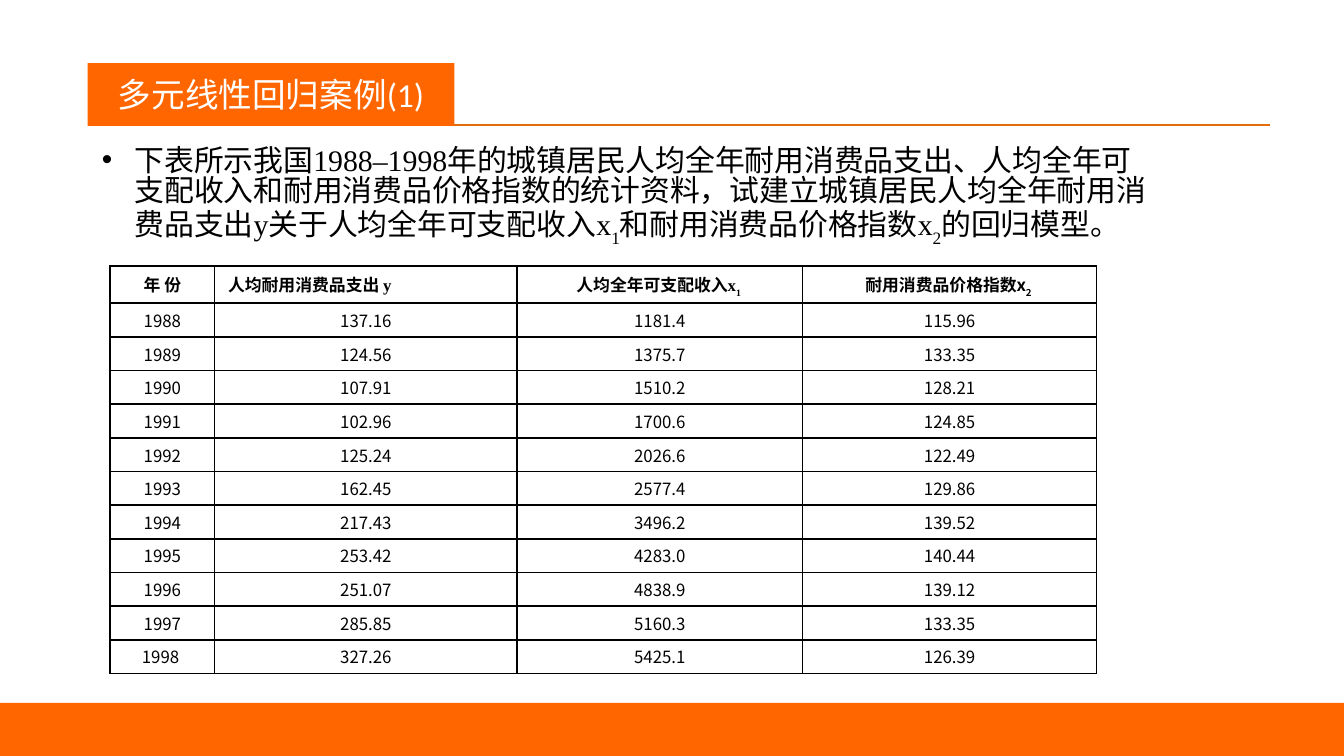
import pptx
import pptx.dml.color
import pptx.enum.shapes
import pptx.enum.text
import pptx.oxml
import pptx.oxml.ns
import pptx.util
import lxml.etree

Pt = pptx.util.Pt
qn = pptx.oxml.ns.qn
ALIGN = pptx.enum.text.PP_ALIGN
MIDDLE = pptx.enum.text.MSO_ANCHOR.MIDDLE

COLORS = {"orange": "FF6600", "rule": "E46C0A", "ink": "000000", "paper": "FFFFFF"}
CJK, SERIF, SANS = "Noto Sans CJK SC", "Times New Roman", "Calibri"

HEADINGS = [
    (["年 份"], CJK, ALIGN.CENTER),
    (["人均耐用消费品支出 y"], SERIF, ALIGN.LEFT),
    (["人均全年可支配收入x", "1 "], SERIF, ALIGN.CENTER),
    (["耐用消费品价格指数x", "2 "], CJK, ALIGN.CENTER),
]
RECORDS = [
    ("1988", "137.16", "1181.4", "115.96"),
    ("1989", "124.56", "1375.7", "133.35"),
    ("1990", "107.91", "1510.2", "128.21"),
    ("1991", "102.96", "1700.6", "124.85"),
    ("1992", "125.24", "2026.6", "122.49"),
    ("1993", "162.45", "2577.4", "129.86"),
    ("1994", "217.43", "3496.2", "139.52"),
    ("1995", "253.42", "4283.0", "140.44"),
    ("1996", "251.07", "4838.9", "139.12"),
    ("1997", "285.85", "5160.3", "133.35"),
    ("1998 ", "327.26", "5425.1", "126.39"),
]
QUESTION = [
    "下表所示我国1988–1998年的城镇居民人均全年耐用消费品支出、人均全年可支配收入和"
    "耐用消费品价格指数的统计资料，试建立城镇居民人均全年耐用消费品支出y关于人均全年可支配收入x",
    "1", "和耐用消费品价格指数x", "2", "的回归模型。",
]


def rgb(name):
    return pptx.dml.color.RGBColor.from_string(COLORS[name])


def write(paragraph, pieces, size, font, color="ink", bold=False, align=ALIGN.LEFT):
    paragraph.alignment = align
    for index, piece in enumerate(pieces):
        run = paragraph.add_run()
        run.text = piece
        run.font.size = Pt(size)
        run.font.name = font
        run.font.bold = bold
        run.font.color.rgb = rgb(color)
        east_asian = lxml.etree.SubElement(run.font._element, qn("a:ea"))
        east_asian.set("typeface", CJK)
        if index % 2:
            run.font._element.set("baseline", "-30000")


def add_block(slide, left, top, width, height):
    block = slide.shapes.add_shape(
        pptx.enum.shapes.MSO_SHAPE.RECTANGLE, Pt(left), Pt(top), Pt(width), Pt(height))
    block.shadow.inherit = False
    block.fill.solid()
    block.fill.fore_color.rgb = rgb("orange")
    block.line.fill.background()
    return block


def add_heading(slide, left, top, width, height):
    rule_y = Pt(top + height - 0.5)
    rule = slide.shapes.add_connector(
        pptx.enum.shapes.MSO_CONNECTOR.STRAIGHT, Pt(left + 12), rule_y, Pt(left + width), rule_y)
    rule.line.color.rgb = rgb("rule")
    rule.line.width = Pt(0.75)
    lxml.etree.SubElement(rule._element.spPr, qn("a:effectLst"))
    banner = add_block(slide, left, top, 196.5, height)
    banner.text_frame.vertical_anchor = MIDDLE
    write(banner.text_frame.paragraphs[0], ["多元线性回归案例(1)"], 18, SANS, "paper",
          align=ALIGN.CENTER)


def add_question(slide, left, top, width, height):
    frame = slide.shapes.add_textbox(Pt(left), Pt(top), Pt(width), Pt(height)).text_frame
    frame.word_wrap = True
    frame.vertical_anchor = MIDDLE
    paragraph = frame.paragraphs[0]
    paragraph.line_spacing = 0.84
    write(paragraph, QUESTION, 16, SERIF)
    properties = paragraph._p.get_or_add_pPr()
    properties.set("marL", str(Pt(17.5)))
    properties.set("indent", str(-Pt(17.5)))
    lxml.etree.SubElement(properties, qn("a:buFont")).set("typeface", "Arial")
    lxml.etree.SubElement(properties, qn("a:buChar")).set("char", "•")


def add_borders(cell):
    properties = cell._tc.get_or_add_tcPr()
    for position, side in enumerate(("lnL", "lnR", "lnT", "lnB")):
        properties.insert(position, pptx.oxml.parse_xml(
            f'<a:{side} {pptx.oxml.ns.nsdecls("a")} w="{Pt(1)}"><a:solidFill>'
            f'<a:srgbClr val="{COLORS["ink"]}"/></a:solidFill></a:{side}>'))


def fill_cell(cell, pieces, font, align, bold, inset):
    cell.fill.background()
    cell.vertical_anchor = MIDDLE
    cell.margin_top = cell.margin_bottom = Pt(inset)
    write(cell.text_frame.paragraphs[0], pieces, 9, font, bold=bold, align=align)
    add_borders(cell)


def add_statistics(slide, left, top, column_widths, heading_height, record_height):
    height = heading_height + record_height * len(RECORDS)
    table = slide.shapes.add_table(
        len(RECORDS) + 1, len(HEADINGS), Pt(left), Pt(top),
        Pt(sum(column_widths)), Pt(height)).table
    table.first_row = table.horz_banding = False
    for column, width in zip(table.columns, column_widths):
        column.width = Pt(width)
    for row in table.rows:
        row.height = Pt(record_height)
    table.rows[0].height = Pt(heading_height)
    for column, (pieces, font, align) in enumerate(HEADINGS):
        fill_cell(table.cell(0, column), pieces, font, align, True, 3.5)
    for row, record in enumerate(RECORDS, 1):
        for column, figure in enumerate(record):
            fill_cell(table.cell(row, column), [figure], CJK, ALIGN.CENTER, False, 2.5)


def main():
    deck = pptx.Presentation()
    deck.slide_width, deck.slide_height = Pt(720), Pt(405)
    slide = deck.slides.add_slide(deck.slide_layouts[6])
    add_block(slide, 0, 376.5, 720, 28.5)
    add_heading(slide, 47, 33.75, 633.5, 33.75)
    add_question(slide, 47.5, 72, 579.5, 65)
    add_statistics(slide, 59, 142.5, (56, 162, 153, 157.5), 20, 18.05)
    deck.save("out.pptx")


if __name__ == "__main__":
    main()
